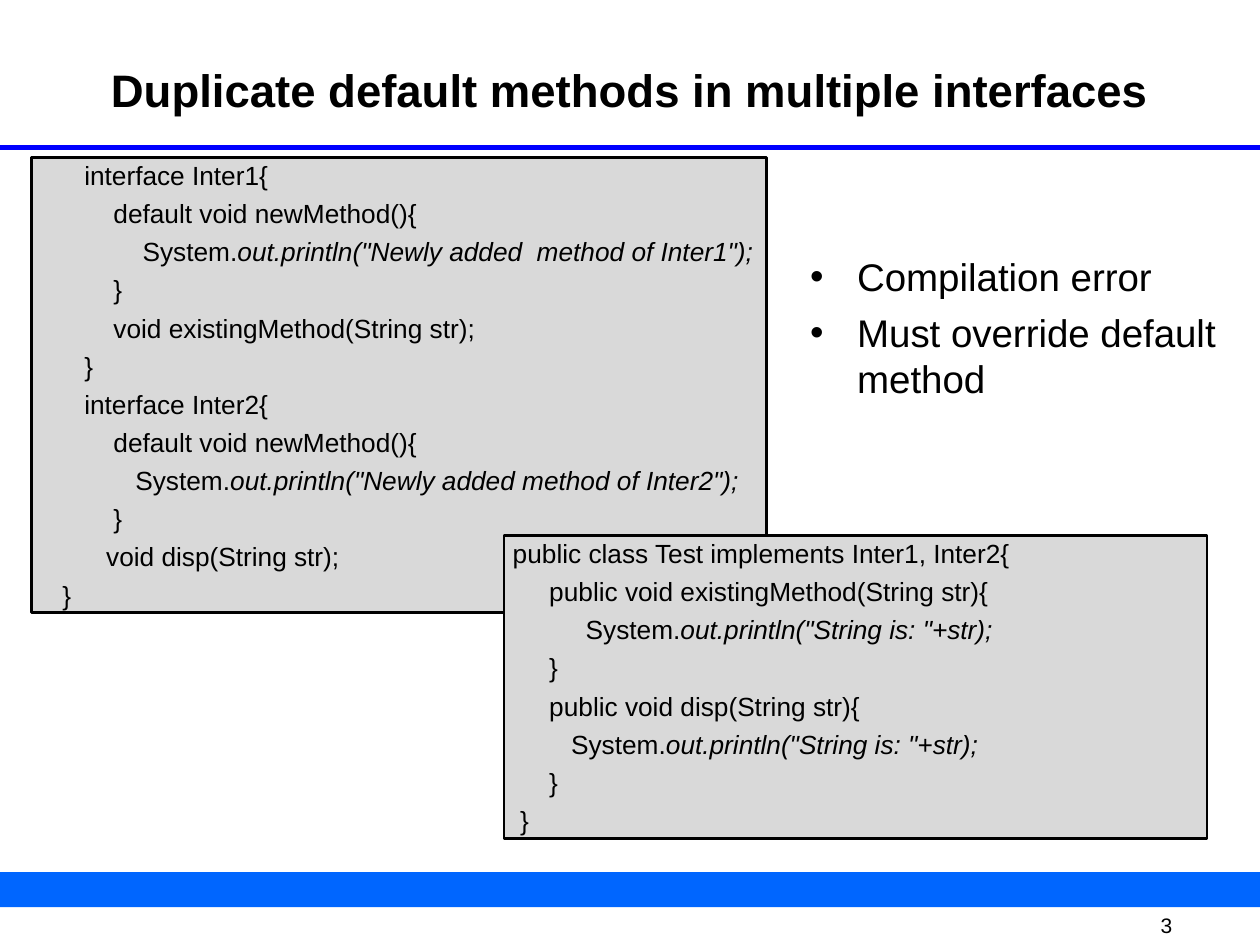
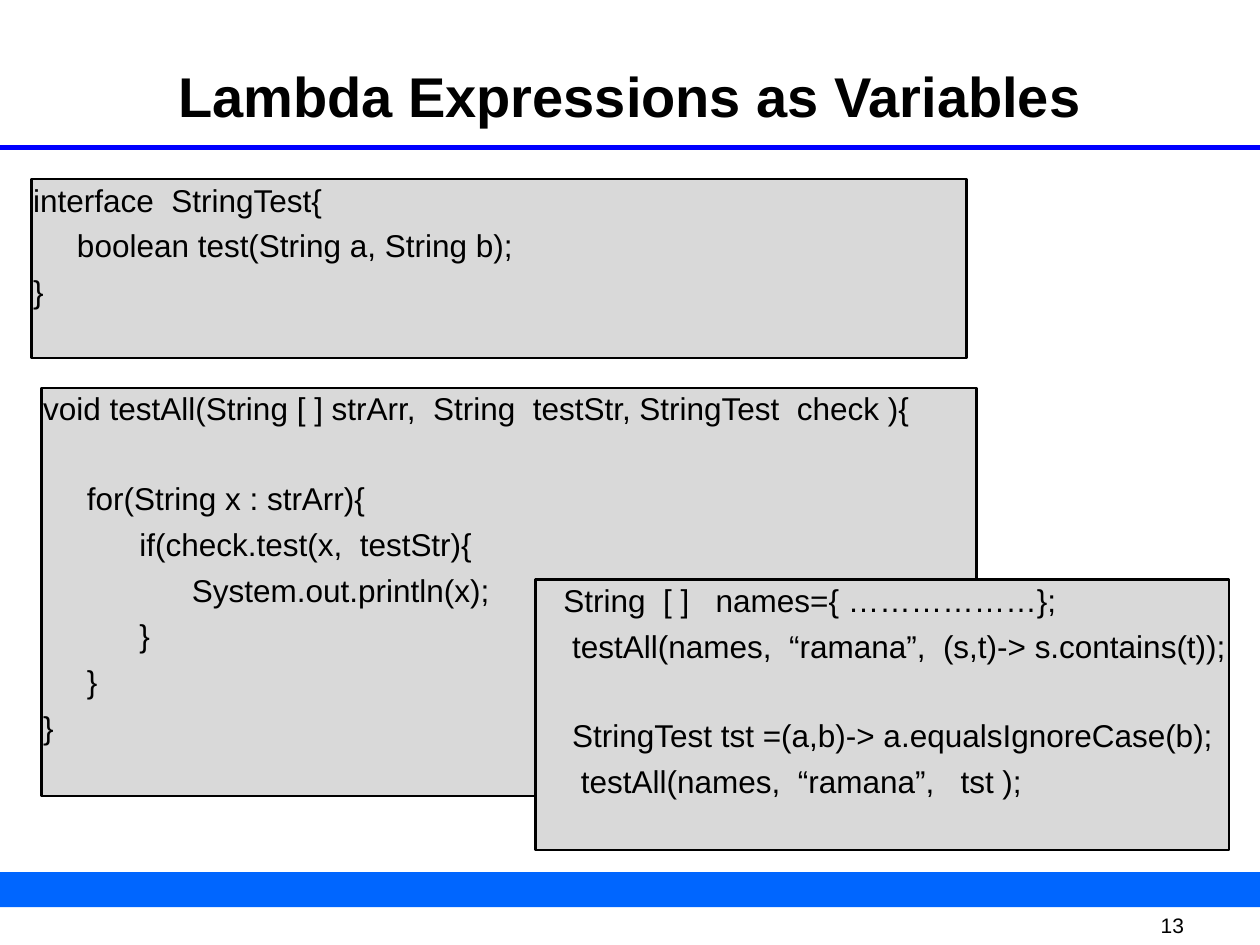
import pptx
import pptx.util
import pptx.dml.color
import pptx.enum.shapes
import pptx.enum.text
import pptx.oxml.ns
from lxml import etree

Cm = pptx.util.Cm
Pt = pptx.util.Pt
RGBColor = pptx.dml.color.RGBColor
Anchor = pptx.enum.text.MSO_ANCHOR
Align = pptx.enum.text.PP_ALIGN
qn = pptx.oxml.ns.qn

BLACK = RGBColor(0x00, 0x00, 0x00)
CODE_GREY = RGBColor(0xD9, 0xD9, 0xD9)
BAND_BLUE = RGBColor(0x00, 0x66, 0xFF)
RULE_BLUE = RGBColor(0x00, 0x00, 0xFF)
FONT = "Arial"
PAGE_WIDTH, PAGE_HEIGHT = Cm(25.4), Cm(19.05)

# Factors of the font size
SPACE_WIDTH = 0.278
LINE_HEIGHT = 1.15
FIRST_GAP = 0.12
LINE_GAP = 0.25

# The "|" in a code line marks where italics begin
INTERFACES = """\
       interface Inter1{
           default void newMethod(){
               System.|out.println("Newly added  method of Inter1");
           }
           void existingMethod(String str);
       }
       interface Inter2{
           default void newMethod(){
              System.|out.println("Newly added method of Inter2");
           }
          void disp(String str);
    }"""

TEST_CLASS = """\
 public class Test implements Inter1, Inter2{
      public void existingMethod(String str){
           System.|out.println("String is: "+str);
      }
      public void disp(String str){
         System.|out.println("String is: "+str);
      }
  }"""

STRING_TEST = """\
interface  StringTest{
     boolean test(String a, String b);
}"""

TEST_ALL = """\
void testAll(String [ ] strArr,  String  testStr, StringTest  check ){

     for(String x : strArr){
           if(check.test(x,  testStr){
                 System.out.println(x);
           }
     }
}"""

LAMBDA_CALLS = """\
   String  [ ]   names={ ………………};
    testAll(names,  “ramana”,  (s,t)-> s.contains(t));

    StringTest tst =(a,b)-> a.equalsIgnoreCase(b);
     testAll(names,  “ramana”,   tst );"""


def prepare_frame(shape, inset=Cm(0.03), anchor=Anchor.TOP):
    frame = shape.text_frame
    frame.word_wrap = True
    frame.vertical_anchor = anchor
    frame.margin_left = frame.margin_right = inset
    frame.margin_top = frame.margin_bottom = inset
    return frame


def style_paragraph(paragraph, size, gap=0, align=Align.LEFT, bold=False):
    paragraph.alignment = align
    paragraph.space_before = Pt(round(gap * size, 1))
    font = paragraph.font
    font.name, font.size, font.bold = FONT, Pt(size), bold
    font.color.rgb = BLACK


def set_indent(paragraph, left, first=0):
    properties = paragraph._p.get_or_add_pPr()
    properties.set("marL", str(int(left)))
    properties.set("indent", str(int(first)))
    return properties


def next_paragraph(frame, index):
    return frame.add_paragraph() if index else frame.paragraphs[0]


def add_band(page):
    band = page.shapes.add_shape(
        pptx.enum.shapes.MSO_SHAPE.RECTANGLE, 0, Cm(17.58), PAGE_WIDTH, Cm(0.71))
    band.shadow.inherit = False
    band.fill.solid()
    band.fill.fore_color.rgb = BAND_BLUE
    band.line.fill.background()


def add_rule(page):
    rule = page.shapes.add_connector(
        pptx.enum.shapes.MSO_CONNECTOR.STRAIGHT, 0, Cm(2.97), PAGE_WIDTH, Cm(2.97))
    rule.line.color.rgb = RULE_BLUE
    rule.line.width = Pt(3)
    etree.SubElement(rule._element.spPr, qn("a:effectLst"))


def add_number(page, number):
    box = page.shapes.add_textbox(Cm(23.4), Cm(18.42), Cm(1.57), Cm(0.48))
    paragraph = prepare_frame(box, 0, Anchor.MIDDLE).paragraphs[0]
    paragraph.text = str(number)
    style_paragraph(paragraph, 12)


def add_title(page, text, size):
    box = page.shapes.add_textbox(Cm(1.7), Cm(1.22), Cm(22), Cm(2.44))
    paragraph = prepare_frame(box).paragraphs[0]
    paragraph.text = text
    style_paragraph(paragraph, size, FIRST_GAP, Align.CENTER, bold=True)


def add_page(deck, number, title, title_size):
    page = deck.slides.add_slide(deck.slide_layouts[6])
    add_number(page, number)
    add_band(page)
    add_rule(page)
    add_title(page, title, title_size)
    return page


def add_code(page, code, size, left, top, width, height):
    box = page.shapes.add_shape(
        pptx.enum.shapes.MSO_SHAPE.RECTANGLE, Cm(left), Cm(top), Cm(width), Cm(height))
    box.shadow.inherit = False
    box.fill.solid()
    box.fill.fore_color.rgb = CODE_GREY
    box.line.color.rgb = BLACK
    box.line.width = Pt(1.5)
    frame = prepare_frame(box)

    gap = FIRST_GAP
    for index, line in enumerate(code.splitlines()):
        if not line:  # an empty line becomes space above the next one
            gap += LINE_HEIGHT + LINE_GAP
            continue
        text = line.lstrip()
        paragraph = next_paragraph(frame, index)
        style_paragraph(paragraph, size, gap)
        set_indent(paragraph, Pt((len(line) - len(text)) * SPACE_WIDTH * size))
        upright, _, italic = text.partition("|")
        paragraph.add_run().text = upright
        if italic:
            span = paragraph.add_run()
            span.text = italic
            span.font.italic = True
        gap = LINE_GAP


def add_bullets(page, items, size, left, top, width, height):
    box = page.shapes.add_textbox(Cm(left), Cm(top), Cm(width), Cm(height))
    frame = prepare_frame(box)
    for index, item in enumerate(items):
        paragraph = next_paragraph(frame, index)
        paragraph.text = item
        style_paragraph(paragraph, size, LINE_GAP if index else FIRST_GAP)
        properties = set_indent(paragraph, Cm(0.95), -Cm(0.95))
        etree.SubElement(properties, qn("a:buFont")).set("typeface", FONT)
        etree.SubElement(properties, qn("a:buChar")).set("char", "•")
        # the default run properties come after the bullet
        properties.append(properties.find(qn("a:defRPr")))


def main():
    deck = pptx.Presentation()
    deck.slide_width, deck.slide_height = PAGE_WIDTH, PAGE_HEIGHT

    # Default methods
    page = add_page(deck, 3, "Duplicate default methods in multiple interfaces", 26)
    add_code(page, INTERFACES, 15, 0.64, 3.18, 14.81, 9.17)
    add_bullets(page, ["Compilation error", "Must override default method"],
                22, 16.3, 5.08, 9.1, 4.24)
    add_code(page, TEST_CLASS, 15, 10.16, 10.8, 14.17, 6.1)

    # Lambda expressions
    page = add_page(deck, 13, "Lambda Expressions as Variables", 32)
    add_code(page, STRING_TEST, 18, 0.64, 3.61, 18.85, 3.61)
    add_code(page, TEST_ALL, 18, 0.84, 7.82, 18.85, 8.23)
    add_code(page, LAMBDA_CALLS, 18, 10.8, 11.68, 13.98, 5.46)

    deck.save("out.pptx")


if __name__ == "__main__":
    main()
